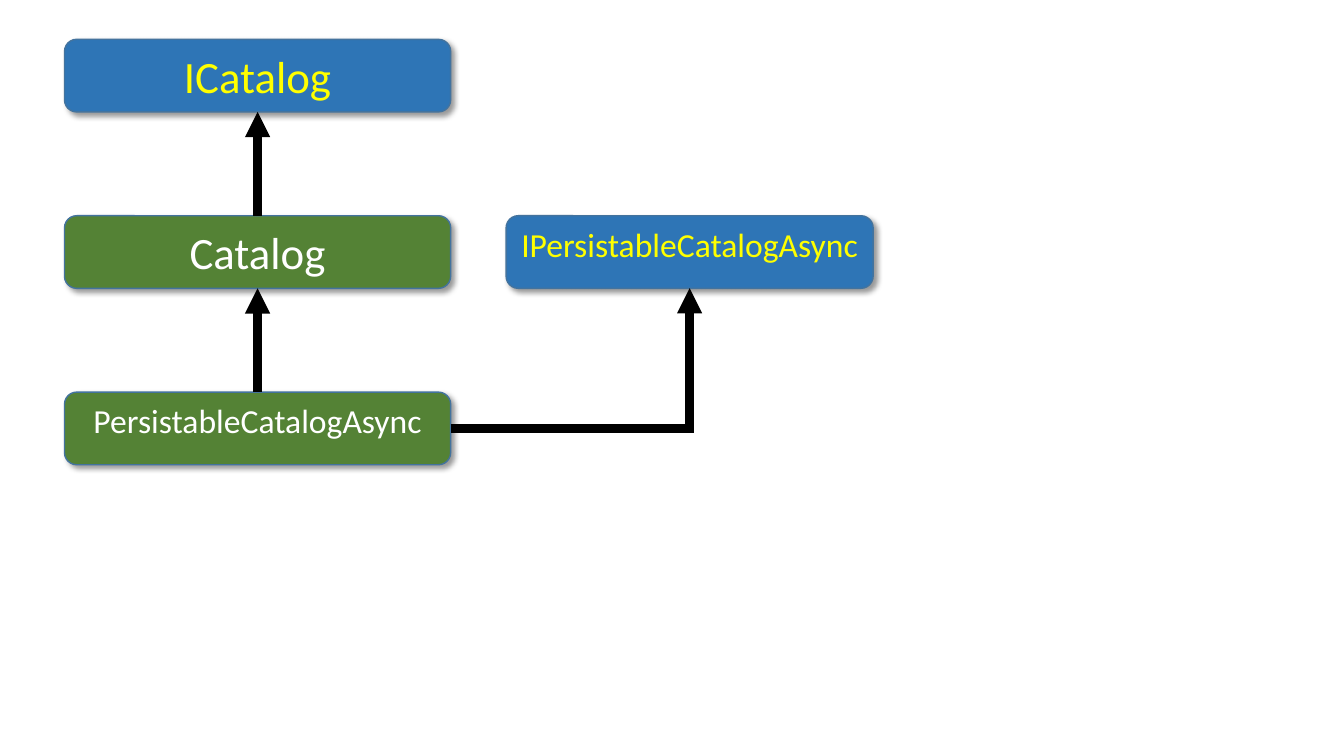
"""Build a class diagram slide of catalog types and their inheritance arrows."""
from lxml.etree import SubElement
from pptx import Presentation
from pptx.dml.color import RGBColor
from pptx.enum.shapes import MSO_CONNECTOR, MSO_SHAPE
from pptx.enum.text import MSO_ANCHOR, PP_ALIGN
from pptx.oxml.ns import qn
from pptx.util import Inches, Pt

TYPES = [
    {"name": "ICatalog", "kind": "interface", "size": "large", "column": 0, "row": 0},
    {"name": "Catalog", "kind": "class", "size": "large", "column": 0, "row": 1},
    {"name": "IPersistableCatalogAsync", "kind": "interface", "size": "small", "column": 1, "row": 1},
    {"name": "PersistableCatalogAsync", "kind": "class", "size": "small", "column": 0, "row": 2},
]
INHERITANCE = [
    ("Catalog", "ICatalog"),
    ("PersistableCatalogAsync", "Catalog"),
    ("PersistableCatalogAsync", "IPersistableCatalogAsync"),
]

THEME = {
    "font": "Calibri",
    "interface": {"fill": RGBColor(0x2E, 0x75, 0xB6), "text": RGBColor(0xFF, 0xFF, 0x00)},
    "class": {"fill": RGBColor(0x54, 0x82, 0x35), "text": RGBColor(0xFF, 0xFF, 0xFF)},
    "outline": RGBColor(0x43, 0x73, 0x9E),
    "arrow": RGBColor(0, 0, 0),
    "shadow": "000000",
    "large": {"type": Pt(32), "bottom": Inches(0.05)},
    "small": {"type": Pt(24), "bottom": Inches(0.21)},
}
COLUMNS = [(0.64, 3.83), (5.02, 3.64)]
FIRST_TOP, ROW_STEP, BOX_HEIGHT = 0.39, 1.75, 0.72
TOP_SITE, BOTTOM_SITE, RIGHT_SITE = 0, 2, 3


def apply_format(target, values):
    for attribute, value in values.items():
        setattr(target, attribute, value)


def add_shadow(shape):
    effects = SubElement(shape._element.spPr, qn("a:effectLst"))
    shadow = SubElement(
        effects, qn("a:outerShdw"), blurRad=str(Pt(4)), dist=str(Pt(3)),
        dir=str(45 * 60000), algn="tl", rotWithShape="0",
    )
    color = SubElement(shadow, qn("a:srgbClr"), val=THEME["shadow"])
    SubElement(color, qn("a:alpha"), val="40000")


def add_type_box(slide, entry):
    left, width = COLUMNS[entry["column"]]
    top = FIRST_TOP + entry["row"] * ROW_STEP
    colors, size = THEME[entry["kind"]], THEME[entry["size"]]
    shape = slide.shapes.add_shape(
        MSO_SHAPE.ROUNDED_RECTANGLE, Inches(left), Inches(top), Inches(width), Inches(BOX_HEIGHT)
    )
    shape.fill.solid()
    shape.fill.fore_color.rgb = colors["fill"]
    shape.line.color.rgb = THEME["outline"]
    shape.line.width = Pt(1)
    add_shadow(shape)
    apply_format(shape.text_frame, {
        "word_wrap": True, "vertical_anchor": MSO_ANCHOR.MIDDLE, "margin_bottom": size["bottom"],
    })
    paragraph = shape.text_frame.paragraphs[0]
    paragraph.alignment = PP_ALIGN.CENTER
    run = paragraph.add_run()
    run.text = entry["name"]
    apply_format(run.font, {"name": THEME["font"], "size": size["type"]})
    run.font.color.rgb = colors["text"]
    return shape


def site_point(shape, site):
    middle = shape.left + shape.width // 2
    return {
        TOP_SITE: (middle, shape.top),
        BOTTOM_SITE: (middle, shape.top + shape.height),
        RIGHT_SITE: (shape.left + shape.width, shape.top + shape.height // 2),
    }[site]


def add_inheritance_arrow(slide, child, parent):
    straight = child.left == parent.left
    kind = MSO_CONNECTOR.STRAIGHT if straight else MSO_CONNECTOR.ELBOW
    start_site = TOP_SITE if straight else RIGHT_SITE
    connector = slide.shapes.add_connector(
        kind, *site_point(child, start_site), *site_point(parent, BOTTOM_SITE)
    )
    connector.begin_connect(child, start_site)
    connector.end_connect(parent, BOTTOM_SITE)
    properties = connector._element.spPr
    if not straight:
        properties.find(qn("a:prstGeom")).set("prst", "bentConnector2")
    connector.line.color.rgb = THEME["arrow"]
    connector.line.width = Pt(6)
    line = properties.find(qn("a:ln"))
    SubElement(line, qn("a:miter"), lim="800000")
    SubElement(line, qn("a:tailEnd"), type="triangle")
    SubElement(properties, qn("a:effectLst"))


def main():
    presentation = Presentation()
    apply_format(presentation, {"slide_width": Inches(13.33), "slide_height": Inches(7.5)})
    slide = presentation.slides.add_slide(presentation.slide_layouts[6])
    boxes = {entry["name"]: add_type_box(slide, entry) for entry in TYPES}
    for child, parent in INHERITANCE:
        add_inheritance_arrow(slide, boxes[child], boxes[parent])
    presentation.save("out.pptx")


if __name__ == "__main__":
    main()
